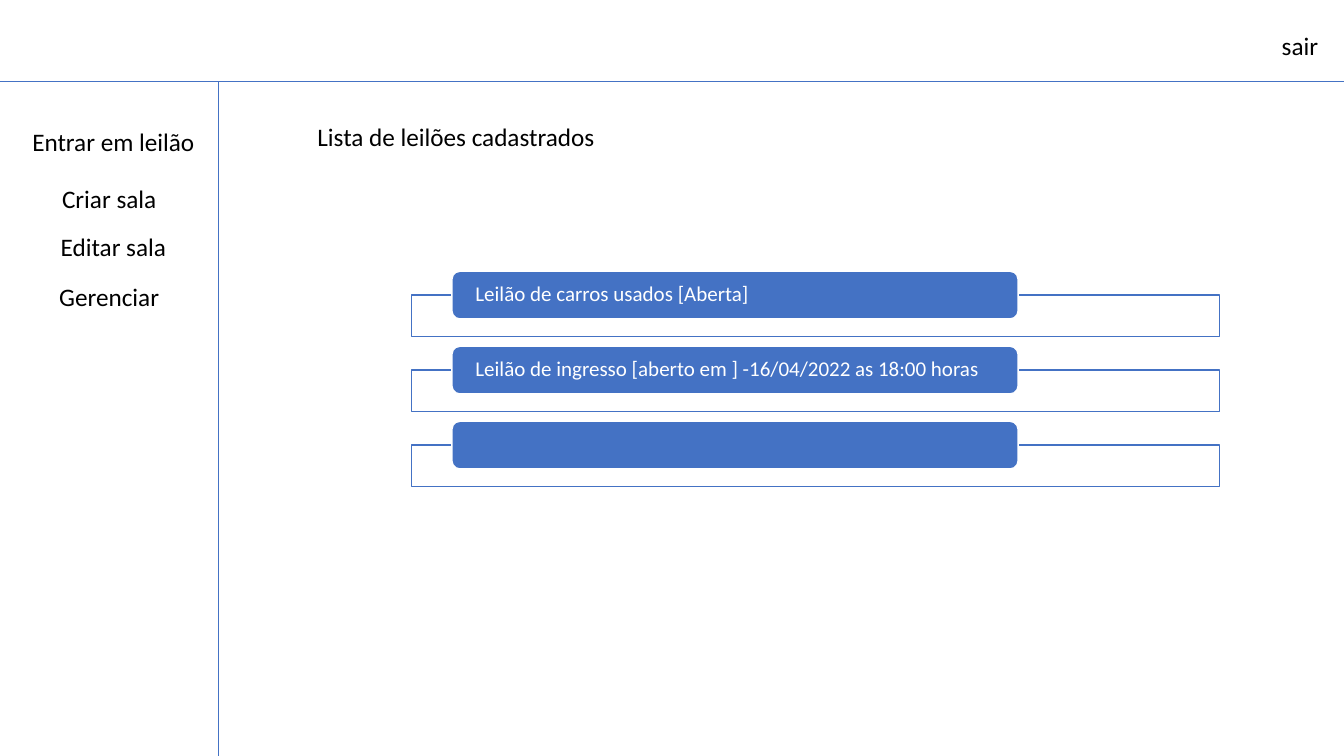
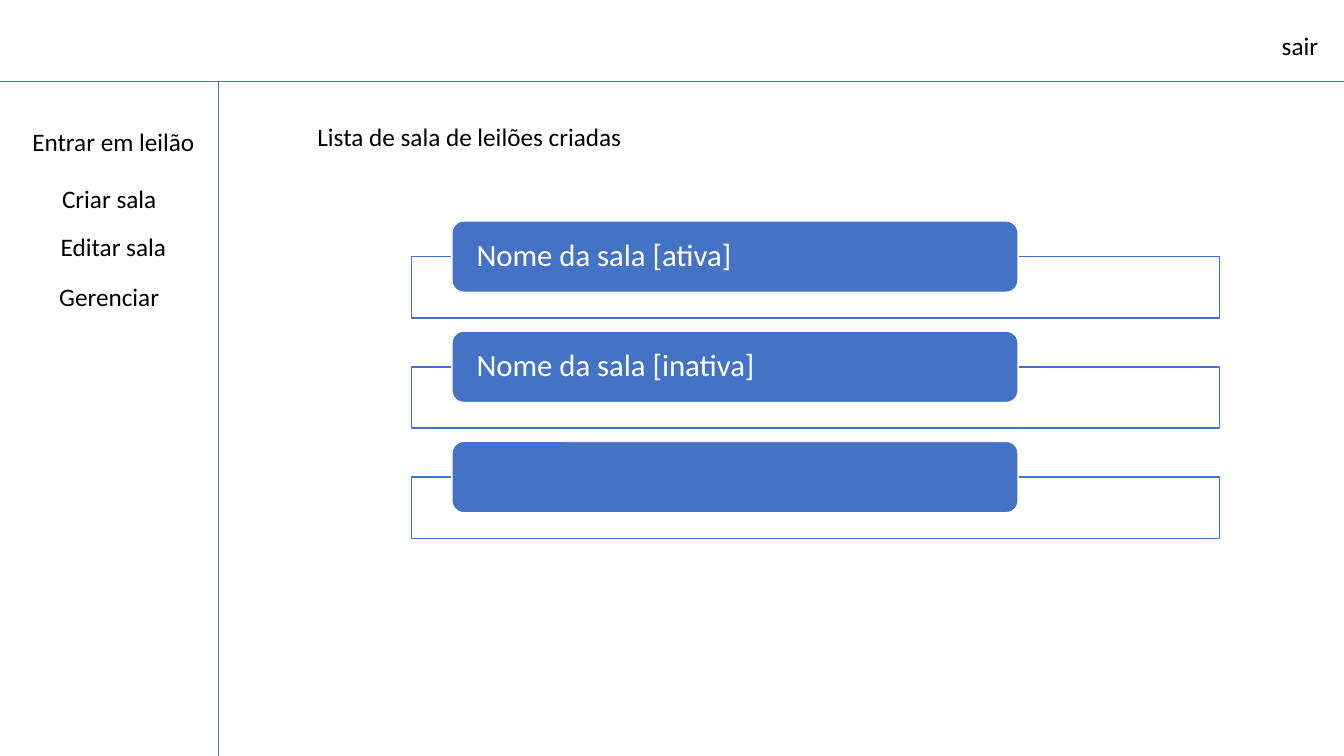
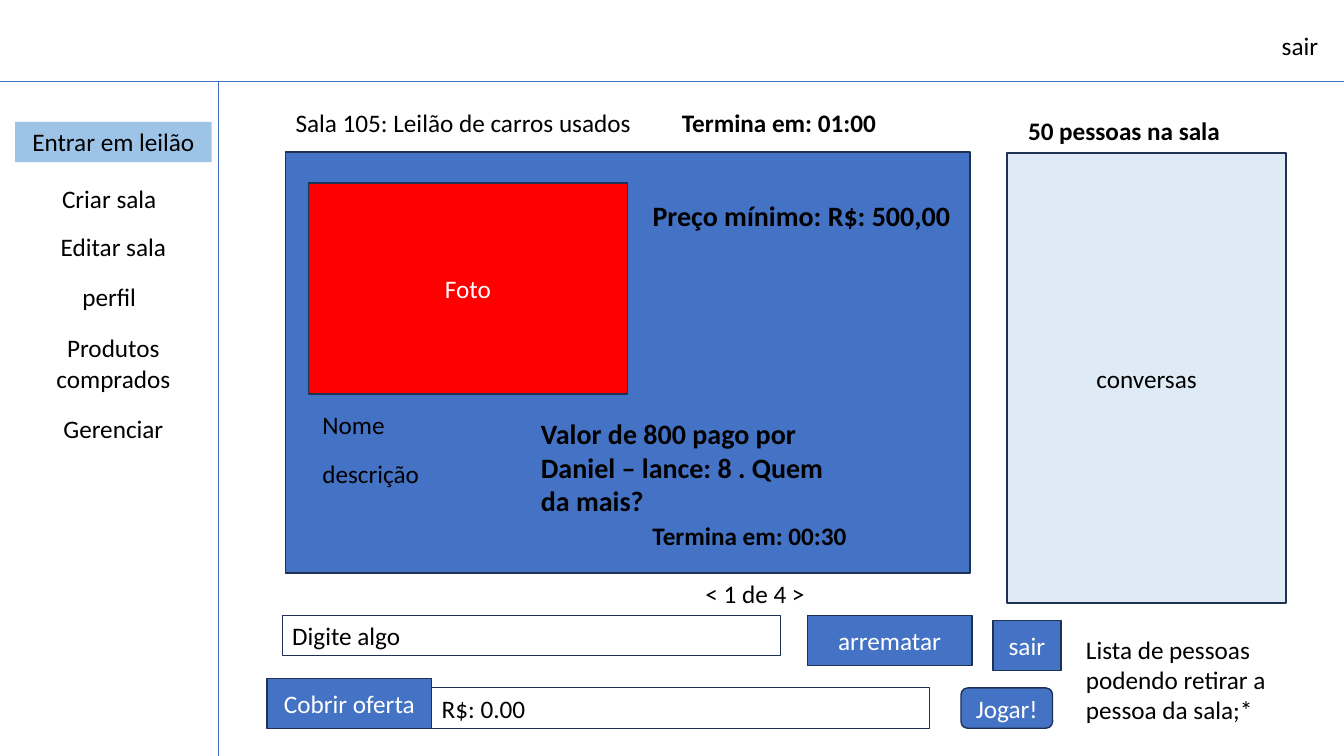
"""Build three wireframe screens of an online auction site."""
from dataclasses import dataclass

from lxml import etree
from pptx import Presentation, util as u
from pptx.dml.color import RGBColor
from pptx.enum import shapes, text
from pptx.oxml.ns import qn


@dataclass(frozen=True)
class Theme:
    font: str = "Calibri"
    blue: str = "4472C4"
    navy: str = "1E3256"
    sky: str = "9DC3E6"
    pale: str = "DEEBF7"
    red: str = "FF0000"
    white: str = "FFFFFF"
    black: str = "000000"
    body: int = 18
    large: int = 20


T = Theme()
RECT = shapes.MSO_SHAPE.RECTANGLE
ROUND = shapes.MSO_SHAPE.ROUNDED_RECTANGLE
LEFT, CENTER = text.PP_ALIGN.LEFT, text.PP_ALIGN.CENTER
TOP, MIDDLE = text.MSO_ANCHOR.TOP, text.MSO_ANCHOR.MIDDLE

prs = Presentation()
prs.slide_width, prs.slide_height = u.Inches(13.33), u.Inches(7.5)
COL, ROW = prs.slide_width / 160, prs.slide_height / 90
LINE_H = 4.8

BASE = dict(kind=None, fill=None, line=None, weight=1, color=T.black, size=T.body,
            bold=False, align=LEFT, anchor=TOP, wrap=True, inset=0.1, spacing=1)
LABEL = BASE
TIGHT = BASE | dict(wrap=False)
TIGHT_BOLD = TIGHT | dict(bold=True)
STRONG = BASE | dict(bold=True, size=T.large)
MENU = BASE | dict(align=CENTER)
ACTIVE = MENU | dict(kind=RECT, fill=T.sky)
FIELD = BASE | dict(kind=RECT, line=T.navy, weight=0.75)
PANEL = MENU | dict(kind=RECT, fill=T.blue, line=T.navy, color=T.white, anchor=MIDDLE)
PHOTO = PANEL | dict(fill=T.red)
CHAT = PANEL | dict(fill=T.pale, color=T.black)
PILL_BUTTON = PANEL | dict(kind=ROUND)
FRAME = BASE | dict(kind=RECT, fill=T.white, line=T.blue)
CARD = PILL_BUTTON | dict(line=T.white, align=LEFT, inset=0.21, spacing=0.9)


def box(s, words, at, style):
    """Draw one text box or shape placed in grid columns and rows."""
    x, y, w, h = at
    place = [int(v) for v in (x * COL, y * ROW, w * COL, h * ROW)]
    if style["kind"] is None:
        sp = s.shapes.add_textbox(*place)
    else:
        sp = s.shapes.add_shape(style["kind"], *place)
        sp.shadow.inherit = False
        for paint, color in ((sp.fill, style["fill"]), (sp.line.fill, style["line"])):
            if color:
                paint.solid()
                paint.fore_color.rgb = RGBColor.from_string(color)
            else:
                paint.background()
        if style["line"]:
            sp.line.width = u.Pt(style["weight"])
    if not words:
        return
    tf = sp.text_frame
    frame = dict(word_wrap=style["wrap"], vertical_anchor=style["anchor"],
                 margin_left=u.Inches(style["inset"]), margin_right=u.Inches(style["inset"]))
    p = tf.paragraphs[0]
    r = p.add_run()
    r.text = words
    para = dict(alignment=style["align"], line_spacing=style["spacing"])
    font = dict(name=T.font, size=u.Pt(style["size"]), bold=style["bold"])
    for target, values in ((tf, frame), (p, para), (r.font, font)):
        for name, value in values.items():
            setattr(target, name, value)
    r.font.color.rgb = RGBColor.from_string(style["color"])


HEADER_ROW, SIDEBAR_COL = 9.65, 26
RULES = [(0, HEADER_ROW, 160, HEADER_ROW), (SIDEBAR_COL, HEADER_ROW, SIDEBAR_COL, 90)]
MENU_SLOTS = [(1.8, 14.5), (1.3, 21.2), (1.8, 27), (1.3, 32.9), (1.8, 39), (1.8, 48.6)]
SHORT_MENU = ["Entrar em leilão", "Criar sala", "Editar sala", "Gerenciar"]
FULL_MENU = SHORT_MENU[:3] + ["perfil", "Produtos comprados", "Gerenciar"]

AUCTIONS = dict(
    title="Lista de leilões cadastrados",
    cards=["Leilão de carros usados [Aberta]",
           "Leilão de ingresso [aberto em ] -16/04/2022 as 18:00 horas", ""],
    top=32.3, pitch=8.93, card_h=5.67, frame_h=4.9, size=15)
ROOMS = dict(
    title="Lista de sala de leilões criadas",
    cards=["Nome da sala [ativa]", "Nome da sala [inativa]", ""],
    top=26.3, pitch=13.12, card_h=8.5, frame_h=7.3, size=22)

BUTTON_W, BUTTON_H, FIELD_W = 19.6, 5.9, 59.3
ROOM = [
    ("", (34, 18.1, 81.5, 50.1), PANEL),
    ("conversas", (119.9, 18.2, 33.2, 53.6), CHAT),
    ("Foto", (36.7, 21.8, 38, 25.1), PHOTO),
    ("Sala 105: Leilão de carros usados", (34, 12.2, 42.8, LINE_H), TIGHT),
    ("Termina em: 01:00", (80, 12.2, 25.8, LINE_H), TIGHT_BOLD),
    ("50 pessoas na sala", (121.2, 13.1, 25.4, LINE_H), TIGHT_BOLD),
    ("Preço mínimo: R$: 500,00", (76.5, 23.1, 38, 5.3), STRONG),
    ("Nome", (37.2, 48.1, 55.7, LINE_H), LABEL),
    ("descrição", (37.2, 54, 55.7, LINE_H), LABEL),
    ("Valor de 800 pago por Daniel – lance: 8 . Quem da mais?", (63.2, 49, 38, 13.3), STRONG),
    ("Termina em: 00:30", (76.5, 61.4, 25.8, LINE_H), TIGHT_BOLD),
    ("< 1 de 4 >", (82.8, 68.2, 15, LINE_H), LABEL),
    ("Digite algo", (33.6, 73.3, FIELD_W, LINE_H), FIELD),
    ("arrematar", (96.1, 73.3, BUTTON_W, BUTTON_H), PANEL),
    ("sair", (118.2, 73.9, 8.1, BUTTON_H), PANEL),
    ("Cobrir oferta", (31.8, 80.8, BUTTON_W, BUTTON_H), PANEL),
    ("R$: 0.00", (51.4, 81.9, FIELD_W, LINE_H), FIELD),
    ("Jogar!", (114.4, 81.9, 10.9, LINE_H), PILL_BUTTON),
    ("Lista de pessoas podendo retirar a pessoa da sala;*", (128.1, 74.9, 28.3, 12.1), LABEL),
]

PAGES = [(SHORT_MENU, None, AUCTIONS, []),
         (SHORT_MENU, None, ROOMS, []),
         (FULL_MENU, "Entrar em leilão", None, ROOM)]

for menu, active, listing, items in PAGES:
    s = prs.slides.add_slide(prs.slide_layouts[6])
    for x1, y1, x2, y2 in RULES:
        rule = s.shapes.add_connector(
            shapes.MSO_CONNECTOR.STRAIGHT,
            int(x1 * COL), int(y1 * ROW), int(x2 * COL), int(y2 * ROW))
        rule.line.color.rgb = RGBColor.from_string(T.blue)
        rule.line.width = u.Pt(0.5)
        etree.SubElement(rule._element.spPr, qn("a:effectLst"))
    box(s, "sair", (151.4, 3, 6.8, LINE_H), TIGHT)
    for entry, (x, y) in zip(menu, MENU_SLOTS):
        height = 8.5 if entry == "Produtos comprados" else LINE_H
        box(s, entry, (x, y, 23.4, height), ACTIVE if entry == active else MENU)
    if listing:
        box(s, listing["title"], (36.6, 13.9, 111.5, LINE_H), LABEL)
        for i, card in enumerate(listing["cards"]):
            y = listing["top"] + i * listing["pitch"]
            box(s, "", (49, y + listing["card_h"] / 2, 96.2, listing["frame_h"]), FRAME)
            box(s, card, (53.8, y, 67.4, listing["card_h"]), CARD | dict(size=listing["size"]))
    for words, at, style in items:
        box(s, words, at, style)

prs.save("out.pptx")
